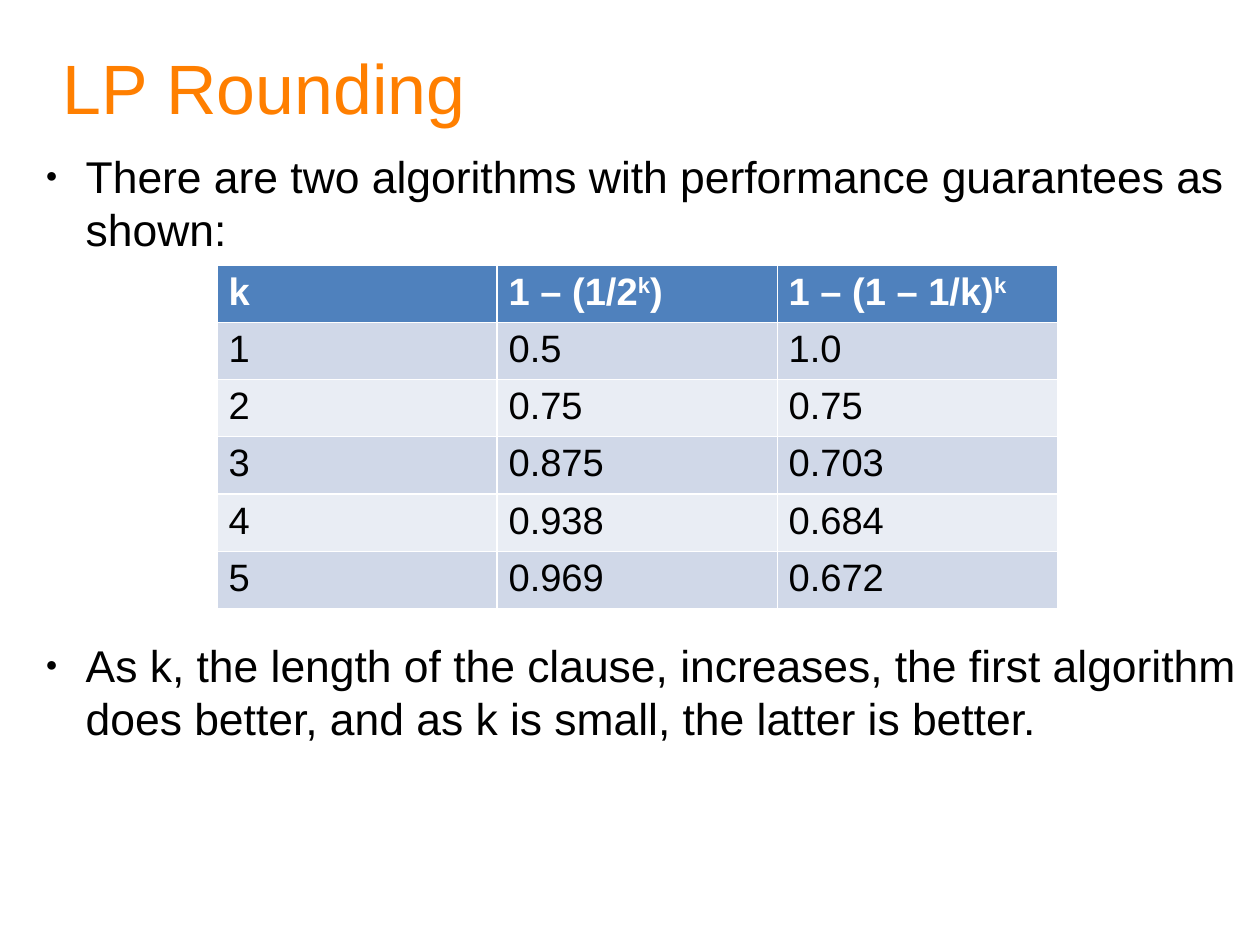
from pptx import Presentation
from pptx.dml.color import RGBColor
from pptx.enum.text import MSO_ANCHOR
from pptx.oxml import parse_xml
from pptx.oxml.ns import nsdecls
from pptx.util import Inches, Pt

FONT = "Arial"
HEADER = [[("k", 0)],
          [("1 – (1/2", 0), ("k", 30), (")", 0)],
          [("1 – (1 – 1/k)", 0), ("k", 30)]]
GUARANTEES = [("1", "0.5", "1.0"),
              ("2", "0.75", "0.75"),
              ("3", "0.875", "0.703"),
              ("4", "0.938", "0.684"),
              ("5", "0.969", "0.672")]
BULLETS = [("There are two algorithms with performance guarantees as shown:", 5.7),
           ("As k, the length of the clause, increases, the first algorithm "
            "does better, and as k is small, the latter is better.", 241)]


def color(value):
    return RGBColor.from_string(value)


def add_run(paragraph, text, size, hex_color, bold=False, raised=0):
    run = paragraph.add_run()
    run.text = text
    run.font.name = FONT
    run.font.size = Pt(size)
    run.font.bold = bold
    run.font.color.rgb = color(hex_color)
    if raised:
        run.font._element.set("baseline", str(raised * 1000))


def add_frame(slide, left, top, width, height):
    frame = slide.shapes.add_textbox(
        Inches(left), Inches(top), Inches(width), Inches(height)).text_frame
    frame.word_wrap = True
    frame.margin_left = frame.margin_right = 0
    frame.margin_top = frame.margin_bottom = 0
    return frame


def add_title(slide, left, top, width, height):
    title = add_frame(slide, left, top, width, height)
    title.vertical_anchor = MSO_ANCHOR.MIDDLE
    add_run(title.paragraphs[0], "LP Rounding", 44, "FF7F00")


def add_bullets(slide, left, top, width, height):
    body = add_frame(slide, left, top, width, height)
    for index, (sentence, gap) in enumerate(BULLETS):
        paragraph = body.add_paragraph() if index else body.paragraphs[0]
        paragraph.space_before = Pt(gap)
        properties = paragraph._p.get_or_add_pPr()
        properties.set("marL", str(Inches(0.47)))
        properties.set("indent", str(Inches(-0.35)))
        for xml in ('<a:buClr %s><a:srgbClr val="000000"/></a:buClr>',
                    '<a:buSzPct %s val="45000"/>',
                    '<a:buFont %s typeface="Arial"/>',
                    '<a:buChar %s char="●"/>'):
            properties.append(parse_xml(xml % nsdecls("a")))
        add_run(paragraph, sentence, 28, "000000")


def add_guarantees(slide, left, top, width, height):
    rows = [HEADER] + [[[(value, 0)] for value in row] for row in GUARANTEES]
    table = slide.shapes.add_table(
        len(rows), len(HEADER), Inches(left), Inches(top),
        Inches(width), Inches(height)).table
    for row_index, row in enumerate(rows):
        is_header = row_index == 0
        fill = "4F81BD" if is_header else ("E9EDF4", "D0D8E8")[row_index % 2]
        for column_index, parts in enumerate(row):
            cell = table.cell(row_index, column_index)
            cell.fill.solid()
            cell.fill.fore_color.rgb = color(fill)
            for text, raised in parts:
                add_run(cell.text_frame.paragraphs[0], text, 24,
                        "FFFFFF" if is_header else "000000", is_header, raised)


def main():
    presentation = Presentation()
    presentation.slide_width = Pt(793.75)
    presentation.slide_height = Pt(595.25)
    slide = presentation.slides.add_slide(presentation.slide_layouts[6])
    add_title(slide, 0.55, 0.33, 10.24, 0.85)
    add_bullets(slide, 0.28, 1.3, 10.59, 6.3)
    add_guarantees(slide, 1.9, 2.32, 7.35, 2.82)
    presentation.save("out.pptx")


if __name__ == "__main__":
    main()
